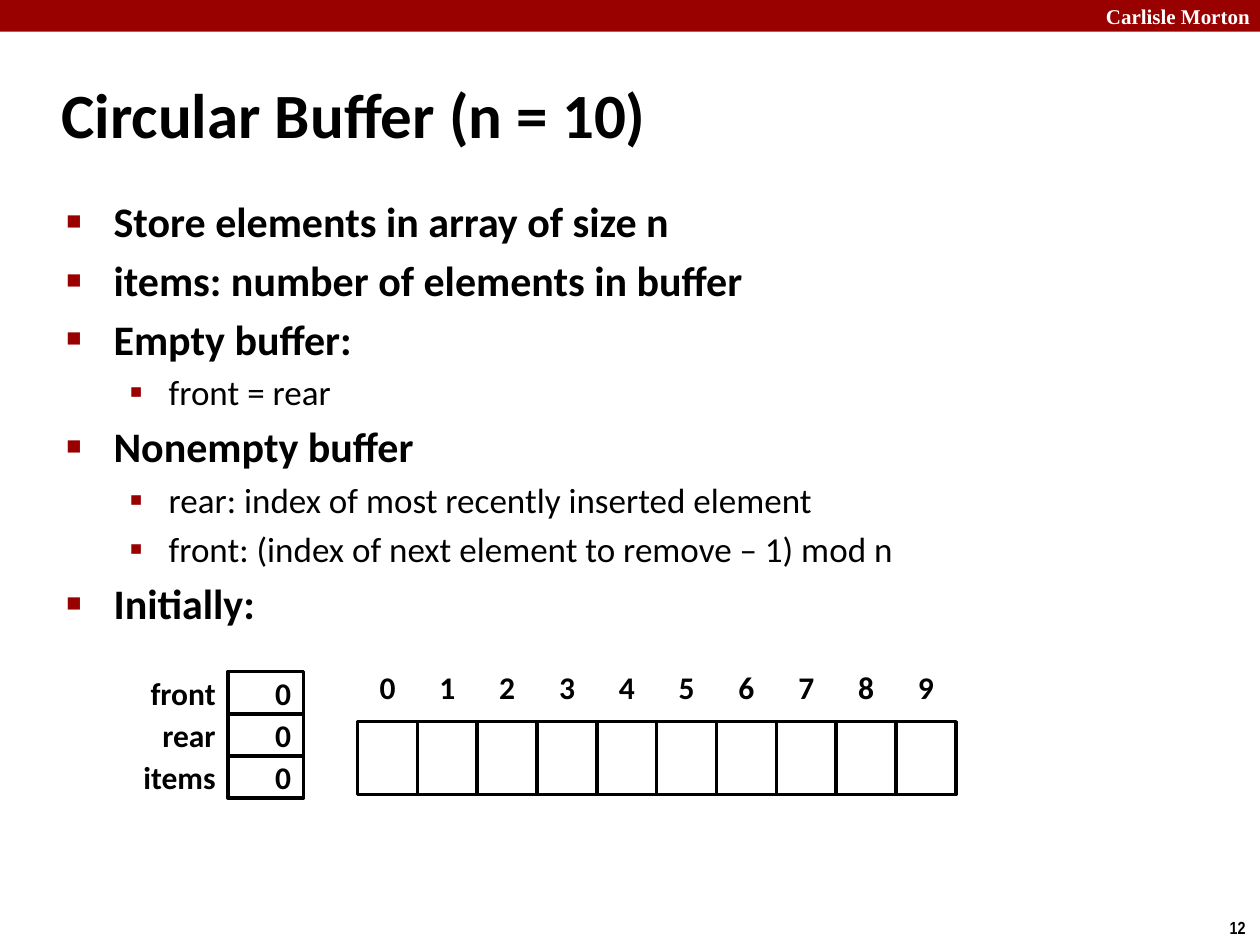
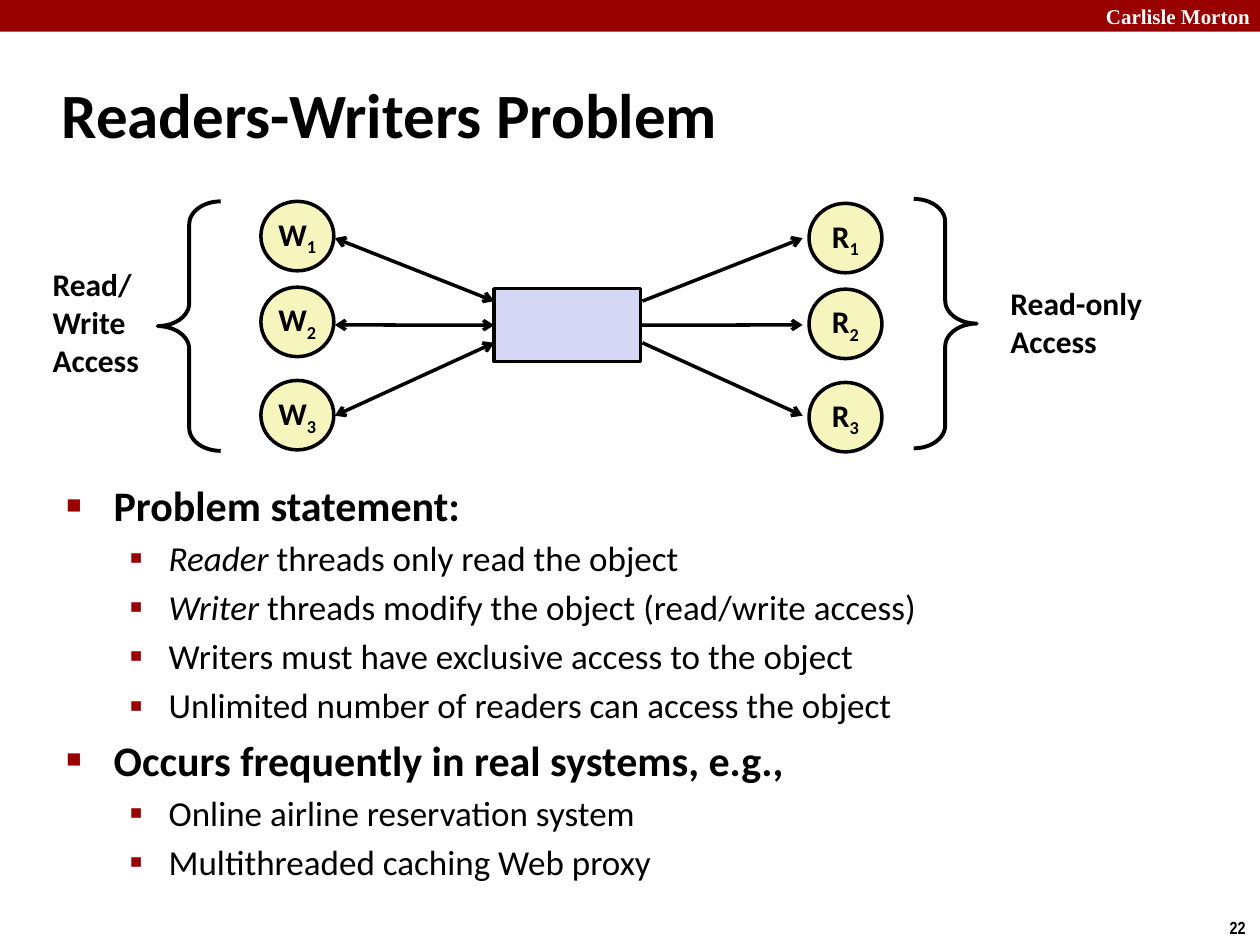
from dataclasses import dataclass

from lxml.etree import SubElement
from pptx import Presentation
from pptx.dml.color import RGBColor
from pptx.enum.shapes import MSO_CONNECTOR, MSO_SHAPE
from pptx.enum.text import MSO_ANCHOR, MSO_AUTO_SIZE, PP_ALIGN
from pptx.oxml.ns import qn
from pptx.util import Cm, Pt


@dataclass(frozen=True)
class Theme:
    red: RGBColor = RGBColor(0x99, 0x00, 0x00)
    black: RGBColor = RGBColor(0x00, 0x00, 0x00)
    white: RGBColor = RGBColor(0xFF, 0xFF, 0xFF)
    lavender: RGBColor = RGBColor(0xD6, 0xD6, 0xF5)
    cream: RGBColor = RGBColor(0xF6, 0xF5, 0xBD)
    font: str = "Calibri"
    brand_font: str = "Times New Roman"
    number_font: str = "Arial Narrow"
    title: int = 36
    label: int = 18
    brand: int = 12
    number: int = 10
    outline: float = 2
    brace: float = 2.25


@dataclass(frozen=True)
class ListLevel:
    size: int
    bold: bool
    margin: float
    hanging: float
    bullet: str
    bullet_percent: int


THEME = Theme()
LEVELS = (
    ListLevel(24, True, 0.95, 0.95, "■", 60),
    ListLevel(20, False, 2.06, 0.79, "▪", 110),
)
SLIDE_WIDTH, SLIDE_HEIGHT = 25.4, 19.05


def write_paragraph(para, spans, size=THEME.label, font=THEME.font, bold=True,
                    color=THEME.black, align=PP_ALIGN.LEFT):
    """Write spans, each a string or a (string, "italic" or "subscript") pair."""
    para.alignment = align
    for item in [spans] if isinstance(spans, str) else spans:
        text, style = (item, "") if isinstance(item, str) else item
        span = para.add_run()
        span.text = text
        span.font.size, span.font.name = Pt(size), font
        span.font.bold = bold
        span.font.color.rgb = color
        if style == "italic":
            span.font.italic = True
        elif style == "subscript":
            span._r.get_or_add_rPr().set("baseline", "-25000")


def write_lines(frame, lines, **text_format):
    for index, spans in enumerate(lines):
        para = frame.add_paragraph() if index else frame.paragraphs[0]
        write_paragraph(para, spans, **text_format)


def set_frame(frame, anchor=MSO_ANCHOR.MIDDLE, inset_x=0.25, inset_y=0.0, wrap=True):
    frame.word_wrap = wrap
    frame.auto_size = MSO_AUTO_SIZE.NONE
    frame.vertical_anchor = anchor
    frame.margin_left = frame.margin_right = Cm(inset_x)
    frame.margin_top = frame.margin_bottom = Cm(inset_y)


def add_label(page, lines, place, anchor=MSO_ANCHOR.MIDDLE, inset_x=0.25,
              inset_y=0.0, wrap=True, **text_format):
    box = page.shapes.add_textbox(*map(Cm, place))
    set_frame(box.text_frame, anchor, inset_x, inset_y, wrap)
    write_lines(box.text_frame, lines, **text_format)


def add_figure(page, kind, place, fill=None, line=THEME.outline, spans=None,
               align=PP_ALIGN.CENTER):
    figure = page.shapes.add_shape(kind, *map(Cm, place))
    figure.shadow.inherit = False
    if fill is None:
        figure.fill.background()
    else:
        figure.fill.solid()
        figure.fill.fore_color.rgb = fill
    if line:
        figure.line.color.rgb = THEME.black
        figure.line.width = Pt(line)
    else:
        figure.line.fill.background()
    if spans:
        set_frame(figure.text_frame, wrap=False)
        write_lines(figure.text_frame, [spans], align=align)
    return figure


def add_arrow(page, start, end, both_ways=False):
    arrow = page.shapes.add_connector(MSO_CONNECTOR.STRAIGHT, *map(Cm, start + end))
    arrow.line.color.rgb = THEME.black
    arrow.line.width = Pt(THEME.outline)
    outline = arrow.line._get_or_add_ln()
    for tag in ("a:headEnd", "a:tailEnd") if both_ways else ("a:tailEnd",):
        SubElement(outline, qn(tag), type="arrow")
    SubElement(arrow._element.spPr, qn("a:effectLst"))
    return arrow


def add_brace(page, kind, left, top):
    brace = add_figure(page, kind, (left, top, 1.27, 5.03), line=THEME.brace)
    brace.adjustments[0] = 0.364


def move(shape, place):
    shape.left, shape.top, shape.width, shape.height = map(Cm, place)


def add_page(deck, title, number):
    """Add a slide with the shared band, brand, page number and title."""
    page = deck.slides.add_slide(deck.slide_layouts[1])
    move(page.shapes.title, (0.99, 1.22, 23.77, 2.11))
    set_frame(page.shapes.title.text_frame)
    write_lines(page.shapes.title.text_frame, [title], size=THEME.title)
    add_figure(page, MSO_SHAPE.RECTANGLE, (0, 0, SLIDE_WIDTH, 0.64), THEME.red, line=None)
    add_label(page, ["Carlisle Morton"], (21.4, 0, 4, 0.64), inset_x=0.2,
              size=THEME.brand, font=THEME.brand_font, color=THEME.white,
              align=PP_ALIGN.RIGHT)
    add_label(page, [str(number)], (24.54, 18.36, 0.86, 0.69), wrap=False,
              size=THEME.number, font=THEME.number_font)
    return page


def set_bullet(para, level):
    properties = para._p.get_or_add_pPr()
    properties.set("marL", str(Cm(level.margin)))
    properties.set("indent", str(-Cm(level.hanging)))
    color = SubElement(properties, qn("a:buClr"))
    SubElement(color, qn("a:srgbClr"), val=str(THEME.red))
    SubElement(properties, qn("a:buSzPct"), val=str(level.bullet_percent * 1000))
    SubElement(properties, qn("a:buChar"), char=level.bullet)


def fill_list(page, place, entries):
    """Fill the body placeholder with (level, spans) entries."""
    body = page.placeholders[1]
    move(body, place)
    frame = body.text_frame
    set_frame(frame, MSO_ANCHOR.TOP, inset_y=0.13)
    for index, (depth, spans) in enumerate(entries):
        para = frame.add_paragraph() if index else frame.paragraphs[0]
        para.level = depth
        level = LEVELS[depth]
        write_paragraph(para, spans, size=level.size, bold=level.bold)
        set_bullet(para, level)


def add_registers(page, registers):
    height = 0.85
    for row, (name, value) in enumerate(registers):
        top = 13.54 + row * height
        add_label(page, [name], (2.11, top, 2.49, height), wrap=False,
                  align=PP_ALIGN.RIGHT)
        add_figure(page, MSO_SHAPE.RECTANGLE, (4.6, top, 1.52, height),
                   spans=value, align=PP_ALIGN.RIGHT)


def add_array(page, count):
    left, width = 7.21, 12.06 / count
    for index in range(count):
        cell_left = left + index * width
        add_label(page, [str(index)], (cell_left, 13.34, width, 1.02),
                  align=PP_ALIGN.CENTER)
        add_figure(page, MSO_SHAPE.RECTANGLE, (cell_left, 14.55, width, 1.47))


def build_circular_buffer(deck):
    page = add_page(deck, "Circular Buffer (n = 10)", 12)
    fill_list(page, (1.09, 3.81, 22.81, 13.79), [
        (0, "Store elements in array of size n"),
        (0, "items: number of elements in buffer"),
        (0, "Empty buffer:"),
        (1, "front = rear"),
        (0, "Nonempty buffer"),
        (1, "rear: index of most recently inserted element"),
        (1, "front: (index of next element to remove – 1) mod n"),
        (0, "Initially:"),
    ])
    add_registers(page, [("front", "0"), ("rear", "0"), ("items", "0")])
    add_array(page, 10)


def add_threads(page, letter, left, tops):
    for number, top in enumerate(tops, start=1):
        add_figure(page, MSO_SHAPE.OVAL, (left, top, 1.47, 1.4), THEME.cream,
                   spans=[letter, (str(number), "subscript")])


def add_access_diagram(page):
    shared_object = add_figure(page, MSO_SHAPE.RECTANGLE, (9.96, 5.82, 2.95, 1.47),
                               THEME.lavender)
    writer_tops = (4.06, 5.79, 7.67)
    add_threads(page, "W", 5.26, writer_tops)
    add_threads(page, "R", 16.31, [top + 0.04 for top in writer_tops])

    middle = 6.55
    for thread_y, object_y in ((4.8, 6.07), (middle, middle), (8.38, 6.91)):
        write_arrow = add_arrow(page, (6.75, thread_y), (9.96, object_y), both_ways=True)
        read_arrow = add_arrow(page, (12.95, object_y), (16.18, thread_y))
        if object_y == middle:
            write_arrow.end_connect(shared_object, 1)
            read_arrow.begin_connect(shared_object, 3)

    add_brace(page, MSO_SHAPE.LEFT_BRACE, 3.18, 4.06)
    add_brace(page, MSO_SHAPE.RIGHT_BRACE, 18.42, 4.01)
    add_label(page, ["Read/", "Write", "Access"], (0.81, 5.21, 2.26, 2.57), wrap=False)
    add_label(page, ["Read-only", "Access"], (20.12, 5.59, 3.23, 1.8), wrap=False)


def build_readers_writers(deck):
    page = add_page(deck, "Readers-Writers Problem", 22)
    fill_list(page, (1.09, 9.53, 21.95, 8.08), [
        (0, "Problem statement:"),
        (1, [("Reader", "italic"), " threads only read the object"]),
        (1, [("Writer", "italic"), " threads modify the object (read/write access)"]),
        (1, "Writers must have exclusive access to the object"),
        (1, "Unlimited number of readers can access the object"),
        (0, "Occurs frequently in real systems, e.g.,"),
        (1, "Online airline reservation system"),
        (1, "Multithreaded caching Web proxy"),
    ])
    add_access_diagram(page)


def main():
    deck = Presentation()
    deck.slide_width, deck.slide_height = Cm(SLIDE_WIDTH), Cm(SLIDE_HEIGHT)
    build_circular_buffer(deck)
    build_readers_writers(deck)
    deck.save("out.pptx")


if __name__ == "__main__":
    main()
